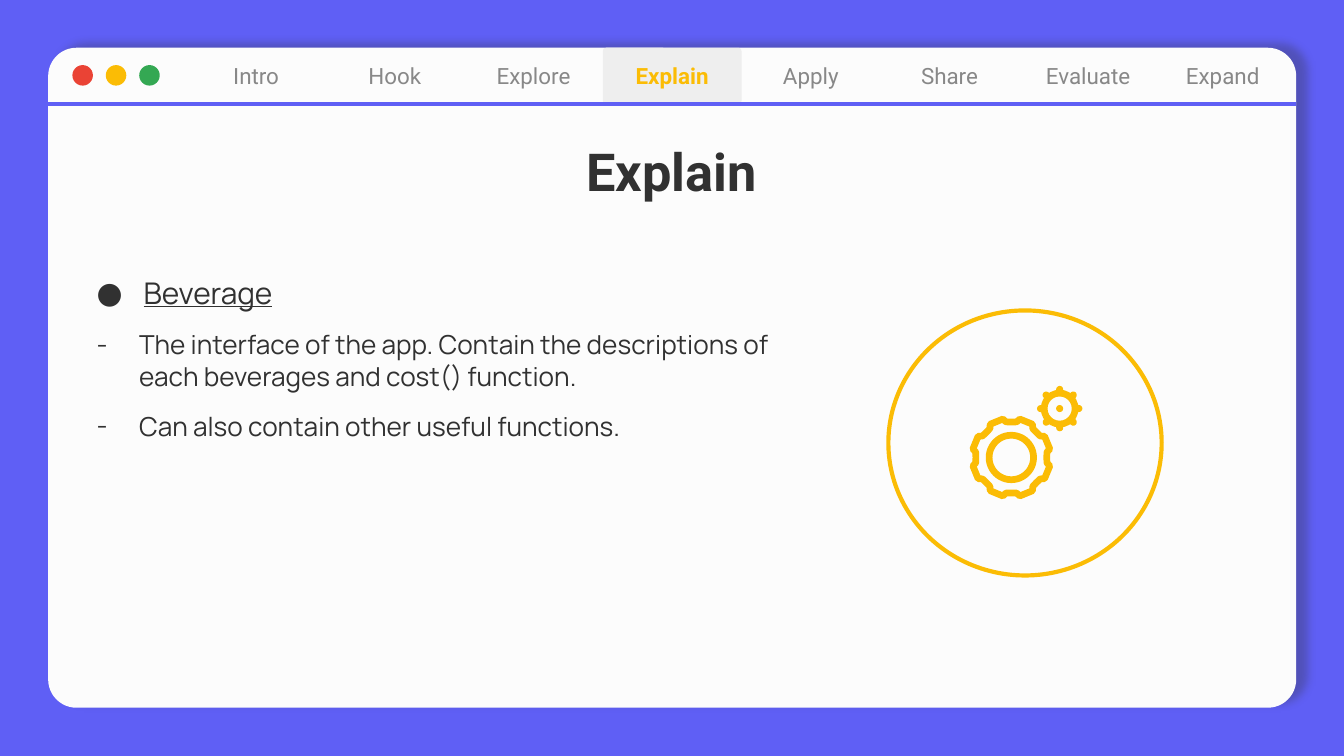
from math import cos, radians, sin

from lxml.etree import SubElement
from pptx import Presentation
from pptx.dml.color import RGBColor
from pptx.enum.shapes import MSO_CONNECTOR, MSO_SHAPE
from pptx.enum.text import MSO_ANCHOR, MSO_AUTO_SIZE, PP_ALIGN
from pptx.oxml.ns import qn
from pptx.util import Pt

VIOLET = RGBColor(0x5F, 0x5F, 0xF5)
PAPER = RGBColor(0xFC, 0xFC, 0xFC)
INK = RGBColor(0x31, 0x31, 0x31)
GRAY = RGBColor(0x88, 0x88, 0x88)
ACTIVE = RGBColor(0xEE, 0xEE, 0xEE)
RED = RGBColor(0xEA, 0x43, 0x35)
YELLOW = RGBColor(0xFB, 0xBC, 0x05)
GREEN = RGBColor(0x34, 0xA8, 0x53)

TABS = ["Intro", "Hook", "Explore", "Explain", "Apply", "Share", "Evaluate", "Expand"]
NOTES = [
    ("Beverage", "●", 16, 25.2, True),
    ("The interface of the app. Contain the descriptions of each beverages "
     "and cost() function.", "-", 14, 22.7, False),
    ("Can also contain other useful functions.", "-", 14, 22.7, False),
]


def paint(shape, fill=None, line=None, width=2.25):
    """Set fill and outline, and remove the theme shadow."""
    shape.shadow.inherit = False
    if fill is None:
        shape.fill.background()
    else:
        shape.fill.solid()
        shape.fill.fore_color.rgb = fill
    if line is None:
        shape.line.fill.background()
    else:
        shape.line.color.rgb = line
        shape.line.width = Pt(width)


def add_preset(page, kind, box, fill=None, line=None, width=2.25):
    """Add a painted preset shape in a box given in points."""
    shape = page.shapes.add_shape(kind, *map(Pt, box))
    paint(shape, fill, line, width)
    return shape


def add_circle(page, center, radius, fill=None, line=None, width=2.25):
    """Add a circle around a center."""
    box = (center[0] - radius, center[1] - radius, 2 * radius, 2 * radius)
    return add_preset(page, MSO_SHAPE.OVAL, box, fill, line, width)


def polar(center, radius, angle):
    """Return the point at an angle in degrees clockwise from the top."""
    turn = radians(angle)
    return center[0] + radius * sin(turn), center[1] - radius * cos(turn)


def add_run(para, text, font, size, color, bold=False):
    """Append a formatted run to a paragraph."""
    span = para.add_run()
    span.text = text
    span.font.name = font
    span.font.size = Pt(size)
    span.font.color.rgb = color
    span.font.bold = bold
    return span


def set_frame(frame, anchor, inset):
    """Set anchor and equal insets without automatic fitting."""
    frame.word_wrap = True
    frame.auto_size = MSO_AUTO_SIZE.NONE
    frame.vertical_anchor = anchor
    frame.margin_left = frame.margin_right = Pt(inset)
    frame.margin_top = frame.margin_bottom = Pt(inset)


def place(shape, box):
    """Move a placeholder to a box given in points."""
    shape.left, shape.top, shape.width, shape.height = map(Pt, box)


def add_window(page, box):
    """Draw the rounded window with its shadow."""
    window = add_preset(page, MSO_SHAPE.ROUNDED_RECTANGLE, box, PAPER)
    window.adjustments[0] = 0.043
    effects = window._element.spPr.find(qn("a:effectLst"))
    shadow = SubElement(effects, qn("a:outerShdw"), blurRad=str(Pt(4.5)),
                        dist=str(Pt(6)), dir=str(342 * 60000),
                        algn="bl", rotWithShape="0")
    color = SubElement(shadow, qn("a:srgbClr"), val=str(INK))
    SubElement(color, qn("a:alpha"), val="30000")


def add_tab_bar(page, box, active):
    """Draw the window buttons, the tabs and the rule below them."""
    left, top, width, height = box
    for index, color in enumerate((RED, YELLOW, GREEN)):
        add_circle(page, (left + 18.5 + 17.9 * index, top + 14.8), 5.5, color)
    first = 74.3
    step = (width - first) / len(TABS)
    for index, label in enumerate(TABS):
        last = index == len(TABS) - 1
        kind = MSO_SHAPE.ROUND_1_RECTANGLE if last else MSO_SHAPE.ROUNDED_RECTANGLE
        chosen = label == active
        tab = add_preset(page, kind, (left + first + step * index, top, step, height),
                         ACTIVE if chosen else None)
        tab.adjustments[0] = 0.5 if last else 0.06
        set_frame(tab.text_frame, MSO_ANCHOR.MIDDLE, 0)
        para = tab.text_frame.paragraphs[0]
        para.alignment = PP_ALIGN.CENTER
        add_run(para, label, "Roboto", 12, YELLOW if chosen else GRAY, chosen)
    rule = page.shapes.add_connector(MSO_CONNECTOR.STRAIGHT, Pt(left), Pt(top + height),
                                     Pt(left + width), Pt(top + height))
    rule.line.color.rgb = VIOLET
    rule.line.width = Pt(2.25)
    SubElement(rule._element.spPr, qn("a:effectLst"))


def add_gears(page, box):
    """Draw the oval badge with a large and a small gear."""
    left, top, width, height = box
    add_preset(page, MSO_SHAPE.OVAL, box, line=YELLOW)
    large = (left + 65.9, top + 78.8)
    add_circle(page, large, 11.9, line=YELLOW, width=3.6)
    profile = ((-14, 19.3), (-10, 21.1), (10, 21.1), (14, 19.3), (22.5, 19))
    outline = [polar(large, radius, 22.5 + 45 * tooth + offset)
               for tooth in range(8) for offset, radius in profile]
    points = [(Pt(x), Pt(y)) for x, y in outline]
    builder = page.shapes.build_freeform(*points[0])
    builder.add_line_segments(points[1:])
    teeth = builder.convert_to_shape()
    paint(teeth, line=YELLOW, width=3.6)
    SubElement(teeth.line._get_or_add_ln(), qn("a:round"))

    small = (left + 91.8, top + 52.6)
    add_circle(page, small, 8.3, line=YELLOW, width=3.6)
    add_circle(page, small, 1.9, YELLOW)
    for angle in range(0, 360, 45):
        x, y = polar(small, 9.4, angle)
        knob = add_preset(page, MSO_SHAPE.ROUNDED_RECTANGLE,
                          (x - 1.9, y - 2.75, 3.8, 5.5), YELLOW)
        knob.adjustments[0] = 0.5
        knob.rotation = angle


def fill_title(title, box, text):
    """Place and format the slide title."""
    place(title, box)
    set_frame(title.text_frame, MSO_ANCHOR.BOTTOM, 7.2)
    para = title.text_frame.paragraphs[0]
    para.alignment = PP_ALIGN.CENTER
    para.line_spacing = 0.8
    add_run(para, text, "Roboto", 28, INK, True)


def fill_notes(body, box):
    """Place the body and write its bulleted notes."""
    place(body, box)
    frame = body.text_frame
    set_frame(frame, MSO_ANCHOR.TOP, 7.2)
    for index, (text, bullet, size, indent, underlined) in enumerate(NOTES):
        para = frame.add_paragraph() if index else frame.paragraphs[0]
        para.alignment = PP_ALIGN.LEFT
        para.space_before = Pt(10)
        properties = para._p.get_or_add_pPr()
        properties.set("marL", str(Pt(indent)))
        properties.set("indent", str(-Pt(indent)))
        color = SubElement(properties, qn("a:buClr"))
        SubElement(color, qn("a:srgbClr"), val=str(INK))
        SubElement(properties, qn("a:buFont"), typeface="Manrope")
        SubElement(properties, qn("a:buChar"), char=bullet)
        add_run(para, text, "Manrope", size, INK).font.underline = underlined


def build_deck():
    """Build the one-slide deck."""
    deck = Presentation()
    deck.slide_width, deck.slide_height = Pt(720), Pt(405)
    page = deck.slides.add_slide(deck.slide_layouts[1])
    page.background.fill.solid()
    page.background.fill.fore_color.rgb = VIOLET
    add_window(page, (25.8, 25.6, 668.6, 353.6))
    add_tab_bar(page, (25.8, 25.6, 668.6, 30.2), "Explain")
    add_gears(page, (475.9, 166.3, 146.4, 142))
    fill_title(page.shapes.title, (53.3, 81.4, 612.7, 33.8), "Explain")
    fill_notes(page.placeholders[1], (44.6, 139.7, 393.8, 214.6))
    for holder in page.placeholders:
        page.shapes._spTree.append(holder._element)
    return deck


build_deck().save("out.pptx")
